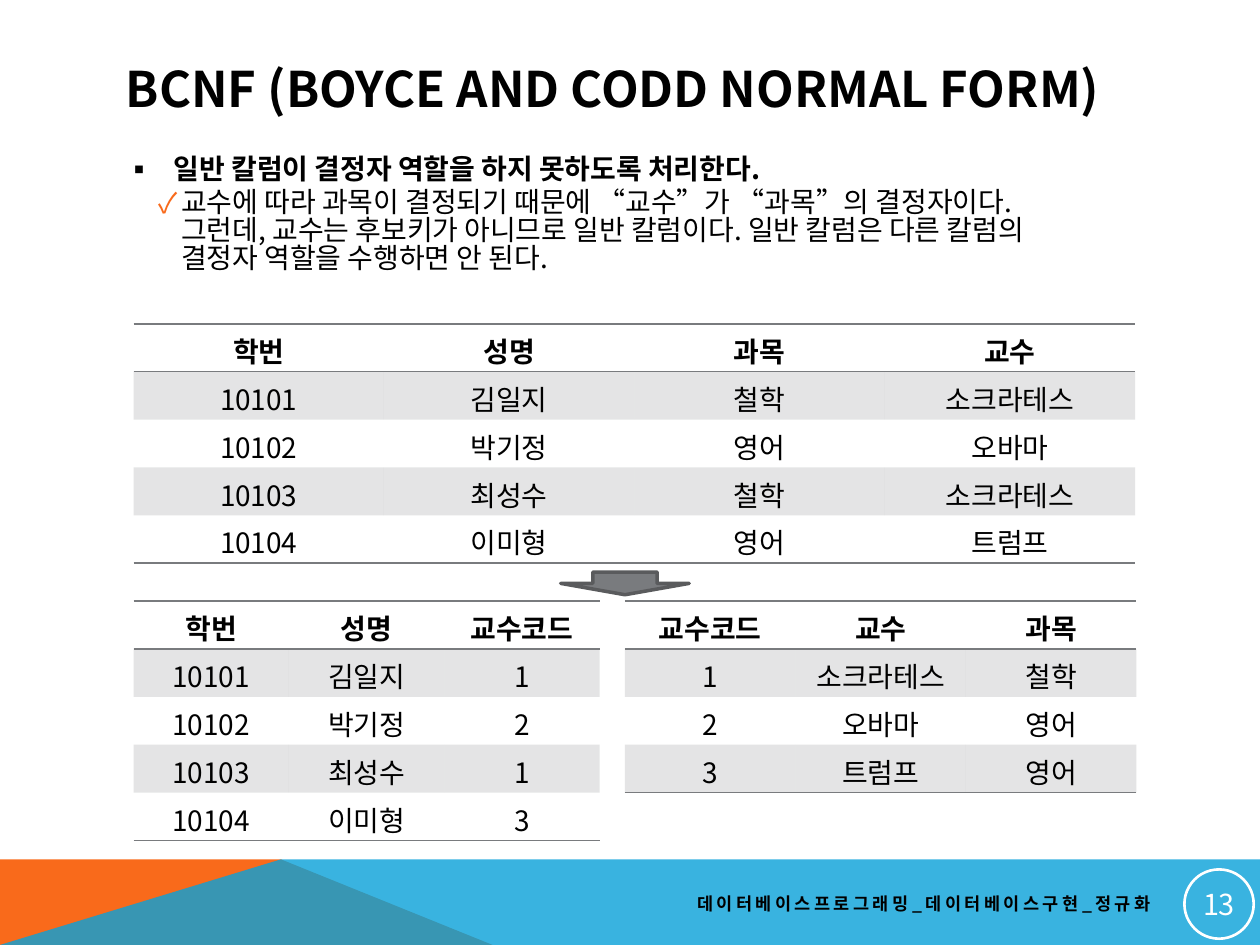
from dataclasses import dataclass

from lxml import etree
from pptx import Presentation
from pptx.dml.color import RGBColor
from pptx.enum.shapes import MSO_SHAPE
from pptx.enum.text import MSO_ANCHOR, PP_ALIGN
from pptx.oxml.ns import qn
from pptx.util import Inches, Pt

LEFT, CENTER, RIGHT = PP_ALIGN.LEFT, PP_ALIGN.CENTER, PP_ALIGN.RIGHT
TOP, MIDDLE = MSO_ANCHOR.TOP, MSO_ANCHOR.MIDDLE
ELLIPSE, DOWN_ARROW = MSO_SHAPE.OVAL, MSO_SHAPE.DOWN_ARROW
PLAIN_TABLE_STYLE = "{2D5ABB26-0587-4C30-8999-92F81FD0307C}"


@dataclass(frozen=True)
class Theme:
    """Colours, font and type sizes of the slide."""
    font: str = "Noto Sans CJK KR"
    text: str = "000000"
    white: str = "FFFFFF"
    orange: str = "F96A1B"
    blue: str = "08A1D9"
    gray: str = "797B7E"
    dark_gray: str = "5A5B5D"
    title_size: float = 28
    body_size: float = 16
    footer_size: float = 10
    number_size: float = 16.5


def add_child(parent, tag, **attributes):
    """Append a drawing element with the given attributes."""
    return etree.SubElement(parent, qn(tag), attributes)


def set_alpha(element, percent):
    """Make the first colour inside an element partly transparent."""
    color = next(element.iter(qn("a:srgbClr")))
    add_child(color, "a:alpha", val=str(percent * 1000))


class SlideBuilder:
    """Holds the theme and the current slide and adds elements to it."""

    def __init__(self, slide, theme):
        """Keep the slide and its theme."""
        self.slide, self.theme = slide, theme

    def set_text(self, paragraph, text, size, bold=False, color=None,
                 spacing=None, **formats):
        """Fill a paragraph with styled text."""
        paragraph.text = text
        for name, value in formats.items():
            setattr(paragraph, name, value)
        font_formats = {"name": self.theme.font, "size": Pt(size), "bold": bold}
        for run in paragraph.runs:
            for name, value in font_formats.items():
                setattr(run.font, name, value)
            run.font.color.rgb = RGBColor.from_string(color or self.theme.text)
            properties = run.font._element
            add_child(properties, "a:ea", typeface=self.theme.font)
            if spacing:
                properties.set("spc", str(spacing * 100))

    def add_text_box(self, box, anchor=MIDDLE):
        """Add a wrapping text box and return its text frame."""
        frame = self.slide.shapes.add_textbox(*map(Inches, box)).text_frame
        frame.word_wrap = True
        frame.vertical_anchor = anchor
        return frame

    def add_bullet(self, paragraph, character, margin, hang, color):
        """Give a paragraph a bullet and a hanging indent."""
        properties = paragraph._p.get_or_add_pPr()
        properties.set("marL", str(Inches(margin)))
        properties.set("indent", str(-Inches(hang)))
        add_child(add_child(properties, "a:buClr"), "a:srgbClr", val=color)
        add_child(properties, "a:buFont", typeface=self.theme.font)
        add_child(properties, "a:buChar", char=character)

    def add_polygon(self, points, color, alpha=100):
        """Add a filled outline without a line."""
        start, *others = [tuple(map(Inches, point)) for point in points]
        builder = self.slide.shapes.build_freeform(*start)
        builder.add_line_segments(others, close=True)
        shape = builder.convert_to_shape()
        shape.shadow.inherit = False
        shape.fill.solid()
        shape.fill.fore_color.rgb = RGBColor.from_string(color)
        set_alpha(shape._element, alpha)
        shape.line.fill.background()

    def add_shape(self, kind, box, line, width, fill=None):
        """Add an outlined preset shape."""
        shape = self.slide.shapes.add_shape(kind, *map(Inches, box))
        shape.shadow.inherit = False
        if fill:
            shape.fill.solid()
            shape.fill.fore_color.rgb = RGBColor.from_string(fill)
        else:
            shape.fill.background()
        shape.line.color.rgb = RGBColor.from_string(line)
        shape.line.width = Pt(width)
        return shape

    def add_border(self, cell, position, tag):
        """Draw one cell border; borders come before the fill."""
        line = etree.Element(qn(tag), w=str(Pt(1)))
        add_child(add_child(line, "a:solidFill"), "a:srgbClr", val=self.theme.gray)
        cell._tc.get_or_add_tcPr().insert(position, line)

    def add_table(self, left, top, width, rows, row_height=0.38):
        """Add a table with a ruled header and shaded odd rows."""
        box = (left, top, width, row_height * len(rows))
        table = self.slide.shapes.add_table(
            len(rows), len(rows[0]), *map(Inches, box)).table
        table.first_row = table.horz_banding = False
        next(table._tbl.iter(qn("a:tableStyleId"))).text = PLAIN_TABLE_STYLE
        for row_index, row in enumerate(rows):
            header = row_index == 0
            for column_index, text in enumerate(row):
                cell = table.cell(row_index, column_index)
                cell.vertical_anchor = MIDDLE
                self.set_text(cell.text_frame.paragraphs[0], text,
                              self.theme.body_size, bold=header, alignment=CENTER)
                if row_index % 2:
                    cell.fill.solid()
                    cell.fill.fore_color.rgb = RGBColor.from_string(self.theme.gray)
                    set_alpha(cell._tc.tcPr, 20)
                else:
                    cell.fill.background()
                if header:
                    self.add_border(cell, 0, "a:lnT")
                if header or row_index == len(rows) - 1:
                    self.add_border(cell, int(header), "a:lnB")


def add_footer(builder):
    """Add the coloured band, the course name and the slide number."""
    theme = builder.theme
    band_top, bottom, peak = 6.82, 7.5, (2.23, 6.82)
    builder.add_polygon(
        [(0, bottom), (0, band_top), peak, (3.91, bottom)], theme.orange)
    builder.add_polygon(
        [(0, bottom), peak, (10, band_top), (10, bottom)], theme.blue, 80)
    footer = builder.add_text_box((4.06, 7.02, 5.17, 0.3))
    builder.set_text(footer.paragraphs[0], "데이터베이스프로그래밍_데이터베이스구현_정규화",
                     theme.footer_size, bold=True, spacing=2, alignment=RIGHT)
    badge = builder.add_shape(ELLIPSE, (9.4, 6.9, 0.55, 0.55), theme.white, 1.5)
    frame = badge.text_frame
    for side in ("left", "top", "right", "bottom"):
        setattr(frame, f"margin_{side}", Inches(0.01))
    frame.vertical_anchor = MIDDLE
    builder.set_text(frame.paragraphs[0], "13", theme.number_size,
                     color=theme.white, alignment=CENTER)


def add_body(builder):
    """Add the title and the two bulleted paragraphs."""
    theme = builder.theme
    title = builder.add_text_box((0.9, 0.4, 8.22, 0.6))
    builder.set_text(title.paragraphs[0], "BCNF (BOYCE AND CODD NORMAL FORM)",
                     theme.title_size, bold=True, alignment=LEFT)
    body = builder.add_text_box((0.9, 1.2, 8.35, 1.13), TOP)
    rule = body.paragraphs[0]
    builder.set_text(rule, "일반 칼럼이 결정자 역할을 하지 못하도록 처리한다.", theme.body_size,
                     bold=True, space_before=Pt(8), line_spacing=0.83)
    builder.add_bullet(rule, "▪", 0.38, 0.38, theme.text)
    reason = body.add_paragraph()
    builder.set_text(reason, "교수에 따라 과목이 결정되기 때문에 “교수”가 “과목”의 결정자이다.\v"
                     "그런데, 교수는 후보키가 아니므로 일반 칼럼이다. 일반 칼럼은 다른 칼럼의\v"
                     "결정자 역할을 수행하면 안 된다.", theme.body_size,
                     level=1, space_before=Pt(3), line_spacing=0.83)
    builder.add_bullet(reason, "✓", 0.44, 0.18, theme.orange)


def main():
    """Build and save the slide."""
    presentation = Presentation()
    presentation.slide_width, presentation.slide_height = Inches(10), Inches(7.5)
    slide = presentation.slides.add_slide(presentation.slide_layouts[6])
    theme = Theme()
    builder = SlideBuilder(slide, theme)
    add_footer(builder)
    add_body(builder)
    builder.add_shape(DOWN_ARROW, (4.45, 4.54, 1.02, 0.18), theme.dark_gray, 2,
                      theme.gray)

    students = [("10101", "김일지"), ("10102", "박기정"),
                ("10103", "최성수"), ("10104", "이미형")]
    courses = [("철학", "소크라테스"), ("영어", "오바마"),
               ("철학", "소크라테스"), ("영어", "트럼프")]
    codes = ["1", "2", "1", "3"]
    professors = {code: (code, professor, subject)
                  for code, (subject, professor) in zip(codes, courses)}
    builder.add_table(1.06, 2.57, 7.95, [
        ("학번", "성명", "과목", "교수"),
        *(student + course for student, course in zip(students, courses))])
    builder.add_table(1.06, 4.77, 3.7, [
        ("학번", "성명", "교수코드"),
        *(student + (code,) for student, code in zip(students, codes))])
    builder.add_table(4.96, 4.77, 4.06, [
        ("교수코드", "교수", "과목"), *professors.values()])
    presentation.save("out.pptx")


main()
